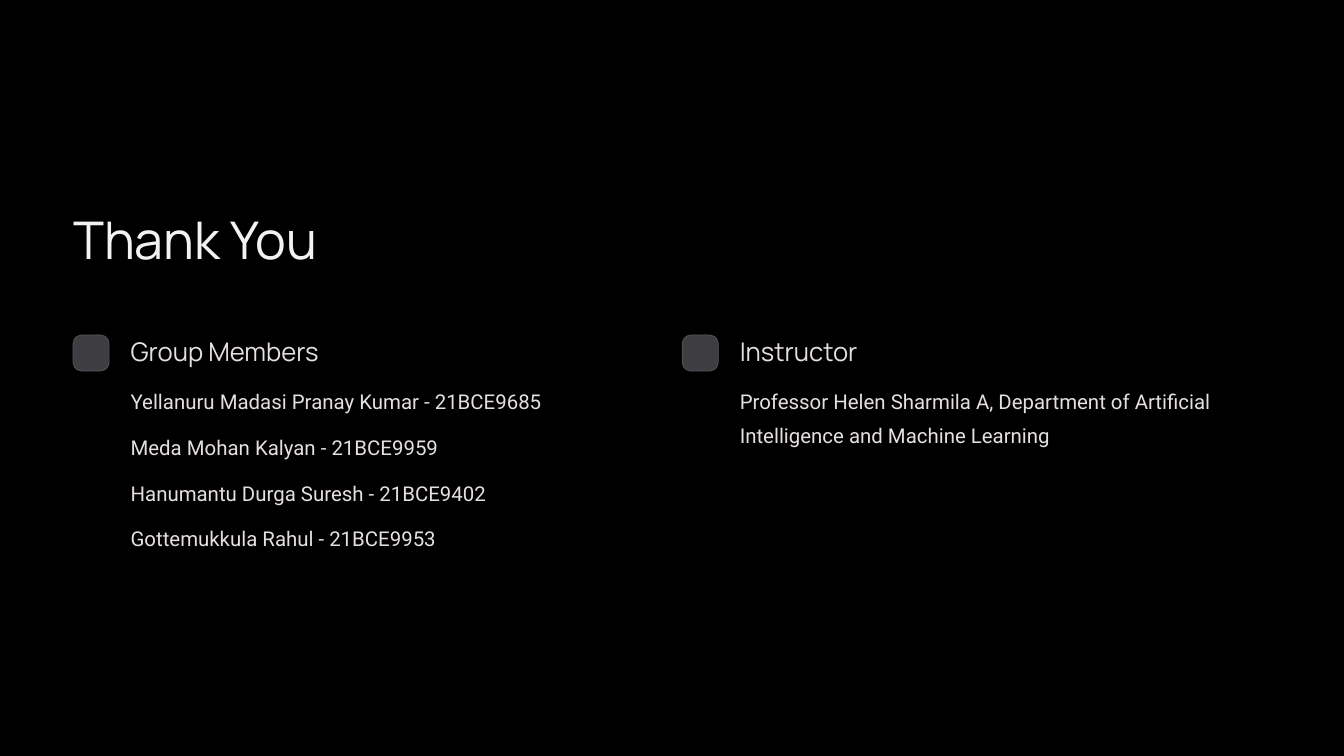
"""Build the closing slide with the group members and the instructor."""
import pptx
import pptx.util
import pptx.dml.color
import pptx.enum.shapes
import pptx.enum.text
from dataclasses import dataclass

Cm = pptx.util.Cm
Pt = pptx.util.Pt

TITLE = "Thank You"
COLUMNS = [
    ("Group Members", 1, [
        "Yellanuru Madasi Pranay Kumar - 21BCE9685",
        "Meda Mohan Kalyan - 21BCE9959",
        "Hanumantu Durga Suresh - 21BCE9402",
        "Gottemukkula Rahul - 21BCE9953",
    ]),
    ("Instructor", 2, [
        "Professor Helen Sharmila A, Department of Artificial "
        "Intelligence and Machine Learning",
    ]),
]


@dataclass(frozen=True)
class TextStyle:
    font: str
    size: float
    spacing: float
    color: str


@dataclass(frozen=True)
class Theme:
    background: str = "000000"
    marker_fill: str = "3D3D42"
    marker_line: str = "56565B"
    title: TextStyle = TextStyle("Manrope", 44.5, 55.5, "F2F2F3")
    heading: TextStyle = TextStyle("Manrope", 22, 27.5, "E5E0DF")
    body: TextStyle = TextStyle("Roboto", 17.5, 28.5, "E5E0DF")


THEME = Theme()
MARGIN, COLUMN_PITCH, TEXT_INDENT = 2.21, 18.42, 1.74
HEADING_TOP, BODY_TOP, BODY_PITCH = 10.13, 11.51, 1.38
MARKER_SIZE, LINE_HEIGHT = 1.09, 1.0


def rgb(value):
    return pptx.dml.color.RGBColor.from_string(value)


def place(shape, left, top, width, height):
    shape.left, shape.top = Cm(left), Cm(top)
    shape.width, shape.height = Cm(width), Cm(height)


def write(shape, text, style, wrap=False):
    frame = shape.text_frame
    frame.margin_left = frame.margin_top = frame.margin_right = frame.margin_bottom = 0
    frame.auto_size = pptx.enum.text.MSO_AUTO_SIZE.NONE
    frame.vertical_anchor = pptx.enum.text.MSO_ANCHOR.TOP
    frame.word_wrap = wrap
    frame.text = text
    paragraph = frame.paragraphs[0]
    paragraph.alignment = pptx.enum.text.PP_ALIGN.LEFT
    paragraph.line_spacing = Pt(style.spacing)
    paragraph.space_before = Pt(0)
    paragraph.font.name = style.font
    paragraph.font.size = Pt(style.size)
    paragraph.font.color.rgb = rgb(style.color)


def add_text(slide, text, style, left, top, width, height, wrap=False):
    box = slide.shapes.add_textbox(Cm(left), Cm(top), Cm(width), Cm(height))
    write(box, text, style, wrap)


def add_marker(slide, left, top):
    marker = slide.shapes.add_shape(
        pptx.enum.shapes.MSO_SHAPE.ROUNDED_RECTANGLE,
        Cm(left), Cm(top), Cm(MARKER_SIZE), Cm(MARKER_SIZE))
    marker.adjustments[0] = 0.24
    marker.shadow.inherit = False
    marker.fill.solid()
    marker.fill.fore_color.rgb = rgb(THEME.marker_fill)
    marker.line.color.rgb = rgb(THEME.marker_line)
    marker.line.width = Pt(0.6)


def main():
    presentation = pptx.Presentation()
    presentation.slide_width, presentation.slide_height = Cm(40.64), Cm(22.86)
    slide = presentation.slides.add_slide(presentation.slide_layouts[5])
    slide.background.fill.solid()
    slide.background.fill.fore_color.rgb = rgb(THEME.background)
    place(slide.shapes.title, MARGIN, 6.2, 15.75, 1.98)
    write(slide.shapes.title, TITLE, THEME.title)

    for column, (heading, line_count, entries) in enumerate(COLUMNS):
        left = MARGIN + column * COLUMN_PITCH
        text_left = left + TEXT_INDENT
        add_marker(slide, left, HEADING_TOP)
        add_text(slide, heading, THEME.heading, text_left, HEADING_TOP, 7.87, LINE_HEIGHT)
        for row, entry in enumerate(entries):
            add_text(slide, entry, THEME.body, text_left, BODY_TOP + row * BODY_PITCH,
                     16.08, line_count * LINE_HEIGHT, wrap=line_count > 1)

    presentation.save("out.pptx")


if __name__ == "__main__":
    main()
